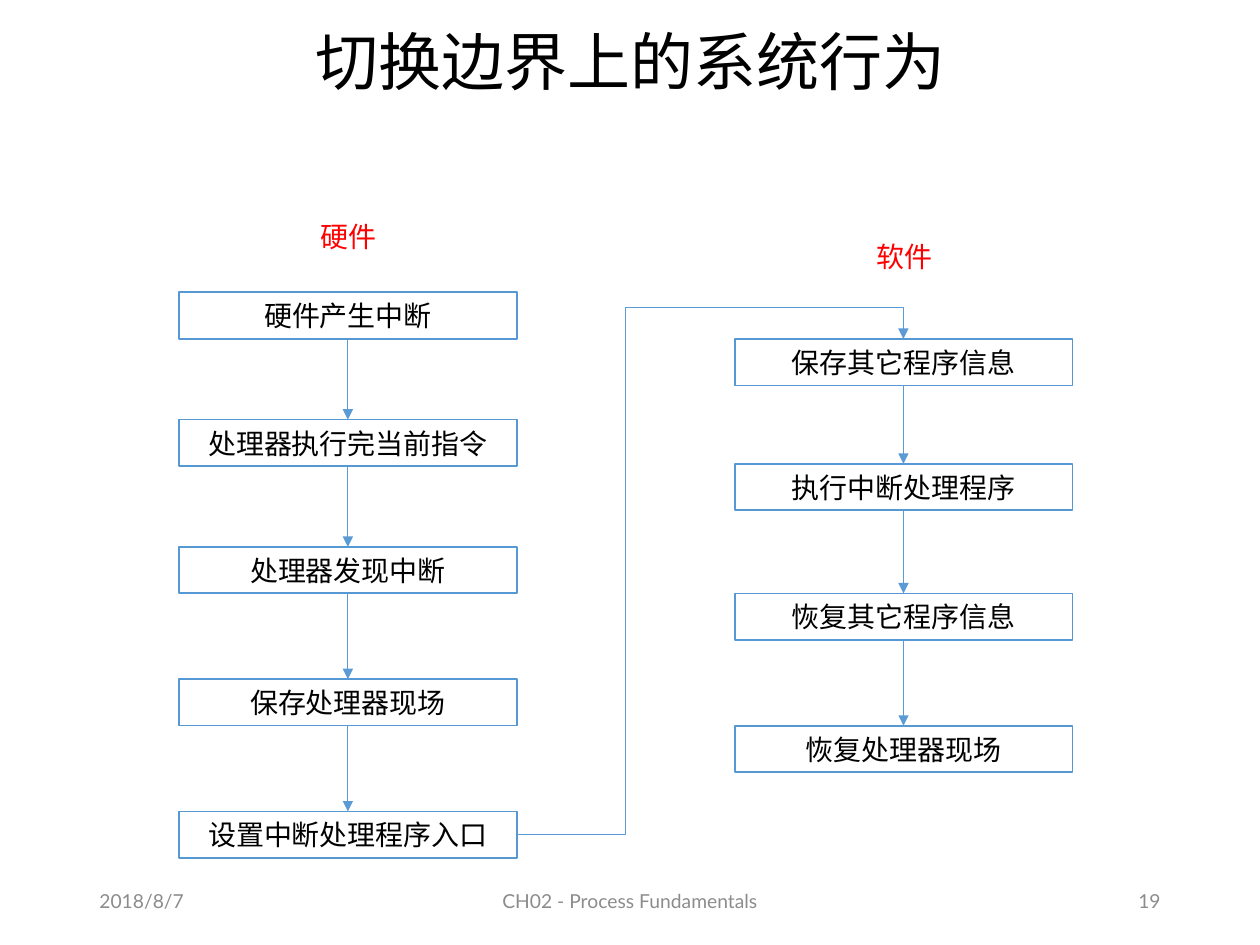
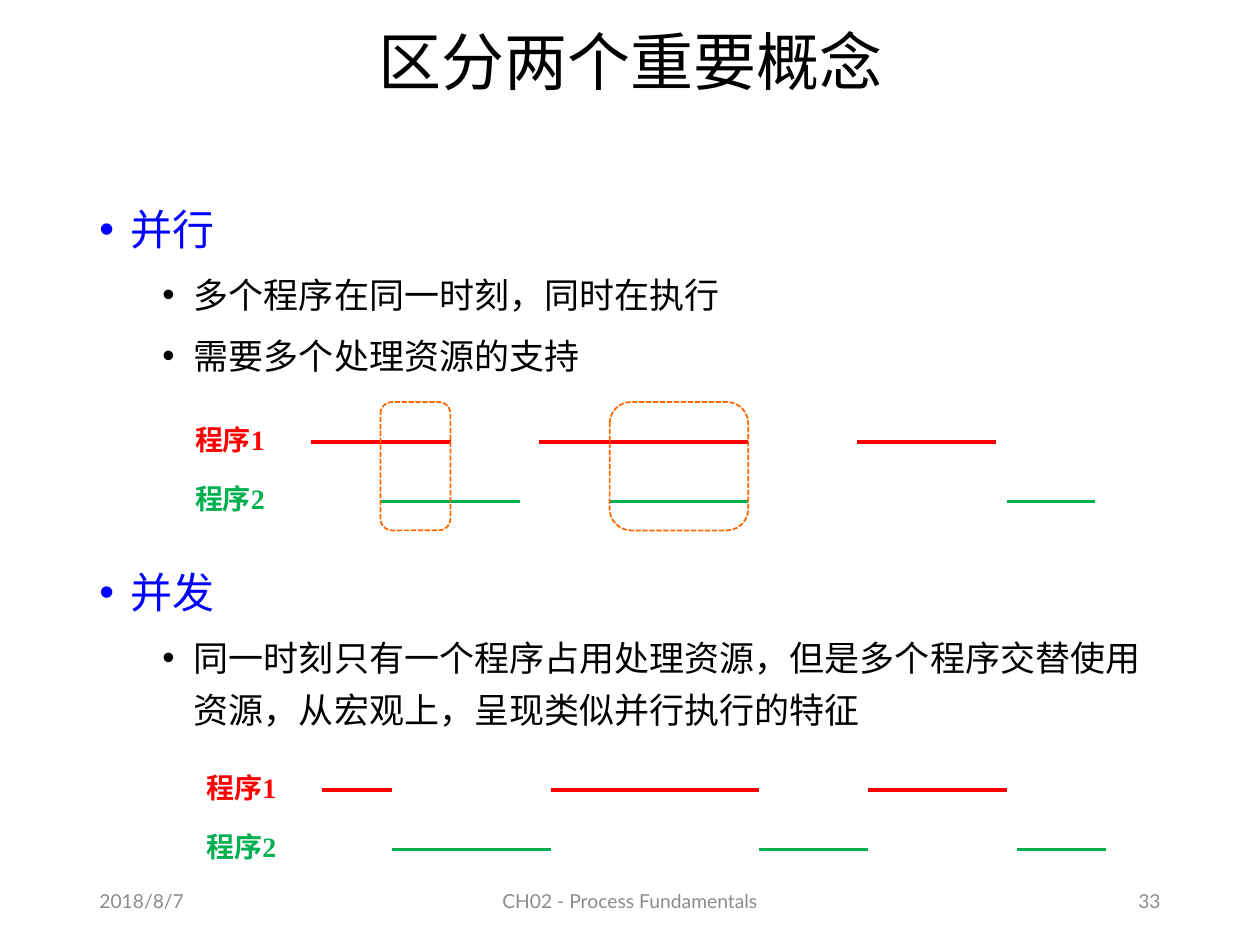
from lxml import etree
from pptx import Presentation
from pptx.dml.color import RGBColor
from pptx.enum import dml, shapes, text
from pptx.oxml.ns import qn
from pptx.util import Pt

COLORS = {
    "ink": "000000",
    "footer": "8C8C8C",
    "box": "5698D3",
    "arrow": "5B9BD5",
    "red": "FF0000",
    "green": "00B050",
    "blue": "0000FF",
    "overlap": "FF6600",
}
CJK = "Noto Sans CJK SC"
LATIN = "Lato"
LEFT, CENTER, RIGHT = text.PP_ALIGN.LEFT, text.PP_ALIGN.CENTER, text.PP_ALIGN.RIGHT

FORMATS = {
    "title": {"size": Pt(36), "name": CJK},
    "footer": {"size": Pt(11), "name": LATIN},
    "step": {"size": Pt(16), "name": CJK},
    "program": {"size": Pt(16), "name": "Times New Roman", "bold": True},
    "topic": {"size": Pt(24), "name": CJK},
    "detail": {"size": Pt(20), "name": CJK},
}
LEVELS = {
    "topic": {"indent": 18, "line": 36, "before": 101.5, "color": "blue"},
    "detail": {"indent": 54, "line": 30, "before": 5, "color": "ink"},
}

HARDWARE_STEPS = [
    ("硬件产生中断", 167),
    ("处理器执行完当前指令", 239.8),
    ("处理器发现中断", 312.5),
    ("保存处理器现场", 388.1),
    ("设置中断处理程序入口", 463.7),
]
SOFTWARE_STEPS = [
    ("保存其它程序信息", 193.7),
    ("执行中断处理程序", 265),
    ("恢复其它程序信息", 339.1),
    ("恢复处理器现场", 414.7),
]
CONCEPTS = [
    ("topic", "并行"),
    ("detail", "多个程序在同一时刻，同时在执行"),
    ("detail", "需要多个处理资源的支持"),
    ("topic", "并发"),
    ("detail", "同一时刻只有一个程序占用处理资源，但是多个程序交替使用资源，"
               "从宏观上，呈现类似并行执行的特征"),
]
PARALLEL_RUNS = [
    [(73.4, 153.2), (203.8, 323.2), (385.2, 465)],
    [(113, 193), (244, 323.2), (471, 521.3)],
]
CONCURRENT_RUNS = [
    [(73.4, 113), (203.8, 322.6), (385.2, 464.6)],
    [(113, 203.8), (322.6, 385.2), (470.4, 521.3)],
]
OVERLAPS = [(113, 153), (244, 323.2)]
STEP_WIDTH, STEP_HEIGHT = 193, 26.6
ROW_PITCH = 34


def rgb(color):
    return RGBColor.from_string(COLORS[color])


def apply(target, values):
    for key, value in values.items():
        setattr(target, key, value)


def add_run(paragraph, words, style, color):
    run = paragraph.add_run()
    run.text = words
    apply(run.font, FORMATS[style])
    run.font.color.rgb = rgb(color)
    etree.SubElement(run._r.get_or_add_rPr(), qn("a:ea"), typeface=CJK)


def fill_frame(frame, words, style, color, align):
    apply(frame, {
        "word_wrap": True,
        "vertical_anchor": text.MSO_ANCHOR.MIDDLE,
        "margin_top": 0,
        "margin_bottom": 0,
    })
    paragraph = frame.paragraphs[0]
    paragraph.alignment = align
    add_run(paragraph, words, style, color)
    return paragraph


def add_label(slide, bounds, words, style, color, align=CENTER):
    label = slide.shapes.add_textbox(*map(Pt, bounds))
    return fill_frame(label.text_frame, words, style, color, align)


def add_outline(slide, kind, bounds, color):
    outline = slide.shapes.add_shape(kind, *map(Pt, bounds))
    outline.shadow.inherit = False
    outline.fill.background()
    outline.line.color.rgb = rgb(color)
    outline.line.width = Pt(1)
    return outline


def add_line(slide, start, end, color, width, kind=shapes.MSO_CONNECTOR.STRAIGHT):
    line = slide.shapes.add_connector(kind, *map(Pt, (*start, *end)))
    line.line.color.rgb = rgb(color)
    line.line.width = Pt(width)
    etree.SubElement(line._element.spPr, qn("a:effectLst"))
    return line


def add_arrow(slide, source, source_side, target, kind=shapes.MSO_CONNECTOR.STRAIGHT):
    arrow = add_line(slide, (0, 0), (0, 0), "arrow", 0.5, kind)
    arrow.begin_connect(source, source_side)
    arrow.end_connect(target, 0)
    etree.SubElement(arrow.line._get_or_add_ln(), qn("a:tailEnd"), type="triangle")
    return arrow


def route_around(arrow, **adjustments):
    geometry = arrow._element.spPr.find(qn("a:prstGeom"))
    geometry.set("prst", "bentConnector4")
    guides = geometry.find(qn("a:avLst"))
    if guides is None:
        guides = etree.SubElement(geometry, qn("a:avLst"))
    for name, value in adjustments.items():
        etree.SubElement(guides, qn("a:gd"), name=name, fmla=f"val {value}")


def add_flow(slide, heading, heading_top, left, steps):
    add_label(slide, (left + 43, heading_top, 108, STEP_HEIGHT), heading, "step", "red")
    boxes = []
    for words, top in steps:
        box = add_outline(slide, shapes.MSO_SHAPE.RECTANGLE,
                          (left, top, STEP_WIDTH, STEP_HEIGHT), "box")
        fill_frame(box.text_frame, words, "step", "ink", CENTER)
        boxes.append(box)
    for source, target in zip(boxes, boxes[1:]):
        add_arrow(slide, source, 2, target)
    return boxes


def add_concepts(slide):
    body = slide.shapes.add_textbox(*map(Pt, (49.7, 103.7, 620.6, 387.4))).text_frame
    apply(body, {"word_wrap": True, "margin_top": Pt(5.5)})
    for index, (style, words) in enumerate(CONCEPTS):
        level = LEVELS[style]
        paragraph = body.add_paragraph() if index else body.paragraphs[0]
        properties = paragraph._p.get_or_add_pPr()
        properties.set("marL", str(Pt(level["indent"])))
        properties.set("indent", str(-Pt(18)))
        etree.SubElement(properties, qn("a:buFont"), typeface="Arial")
        etree.SubElement(properties, qn("a:buChar"), char="•")
        paragraph.line_spacing = Pt(level["line"])
        if index:
            paragraph.space_before = Pt(level["before"])
        add_run(paragraph, words, style, level["color"])


def add_timeline(slide, left, top, program_runs):
    for row, (color, runs) in enumerate(zip(("red", "green"), program_runs)):
        row_top = top + row * ROW_PITCH
        add_label(slide, (left, row_top, 62.6, STEP_HEIGHT),
                  f"程序{row + 1}", "program", color, LEFT)
        for start, end in runs:
            line_y = row_top + 15
            add_line(slide, (left + start, line_y), (left + end, line_y), color, 2)


def add_overlaps(slide, left, top):
    for start, end in OVERLAPS:
        frame = add_outline(slide, shapes.MSO_SHAPE.ROUNDED_RECTANGLE,
                            (left + start, top - 7.9, end - start, 73.4), "overlap")
        frame.line.dash_style = dml.MSO_LINE.SQUARE_DOT


def add_base(deck, title, number):
    slide = deck.slides.add_slide(deck.slide_layouts[6])
    heading = add_label(slide, (49.7, 10, 620.6, 54.7), title, "title", "ink")
    heading.line_spacing = 0.9
    for left, width, words, align in (
        (49.7, 162, "2018/8/7", LEFT),
        (238.5, 243, "CH02 - Process Fundamentals", CENTER),
        (508.3, 162, number, RIGHT),
    ):
        add_label(slide, (left, 500.4, width, 28.8), words, "footer", "footer", align)
    return slide


def add_switch_slide(deck):
    slide = add_base(deck, "切换边界上的系统行为", "19")
    hardware = add_flow(slide, "硬件", 121.7, 102.3, HARDWARE_STEPS)
    software = add_flow(slide, "软件", 133.2, 419.8, SOFTWARE_STEPS)
    handover = add_arrow(slide, hardware[-1], 3, software[0], shapes.MSO_CONNECTOR.ELBOW)
    route_around(handover, adj1=28200, adj2=106300)


def add_concept_slide(deck):
    slide = add_base(deck, "区分两个重要概念", "33")
    add_concepts(slide)
    add_timeline(slide, 104.4, 237.6, PARALLEL_RUNS)
    add_overlaps(slide, 104.4, 237.6)
    add_timeline(slide, 110.9, 436.4, CONCURRENT_RUNS)


def main():
    deck = Presentation()
    apply(deck, {"slide_width": Pt(720), "slide_height": Pt(540)})
    add_switch_slide(deck)
    add_concept_slide(deck)
    deck.save("out.pptx")


if __name__ == "__main__":
    main()
